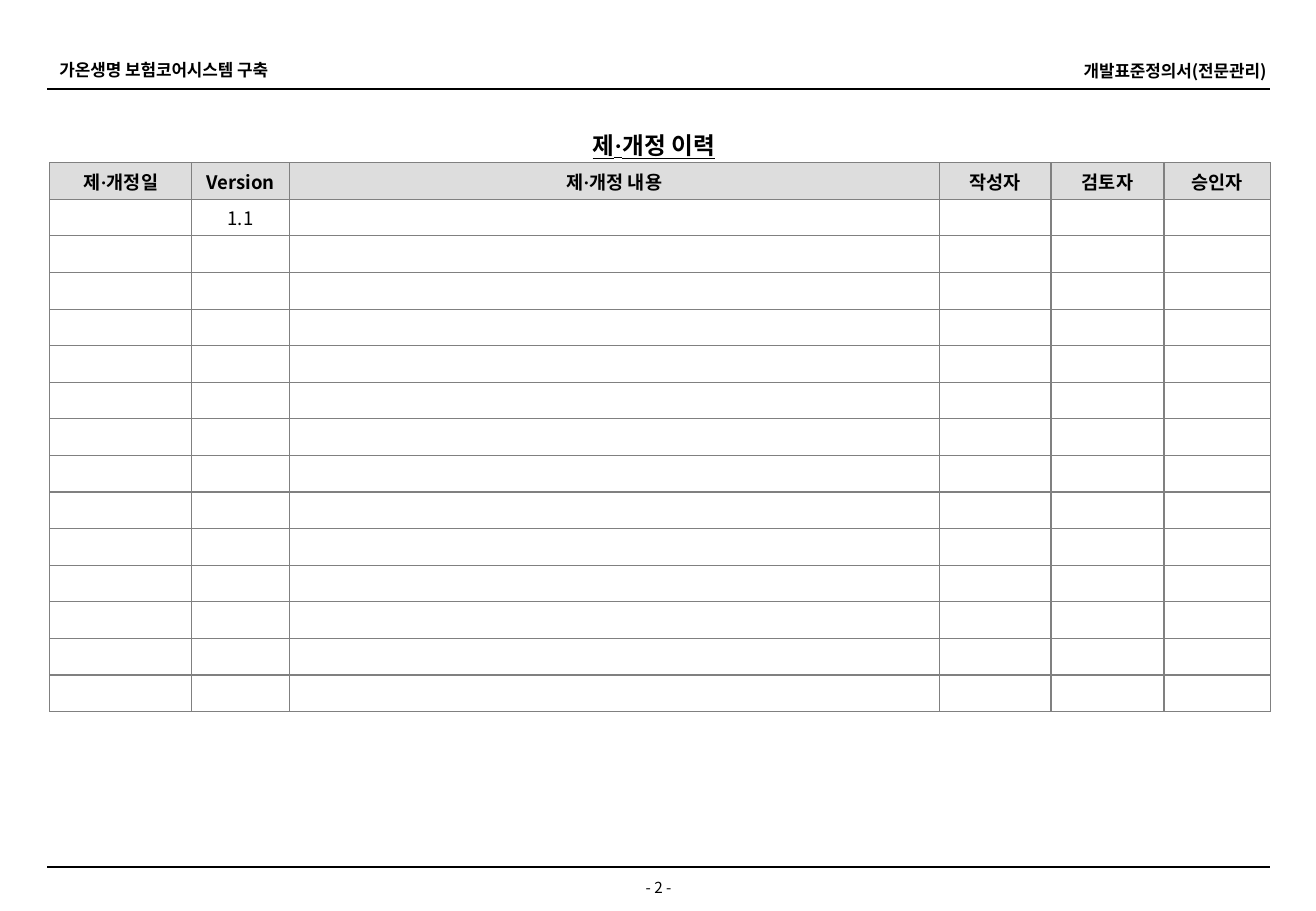
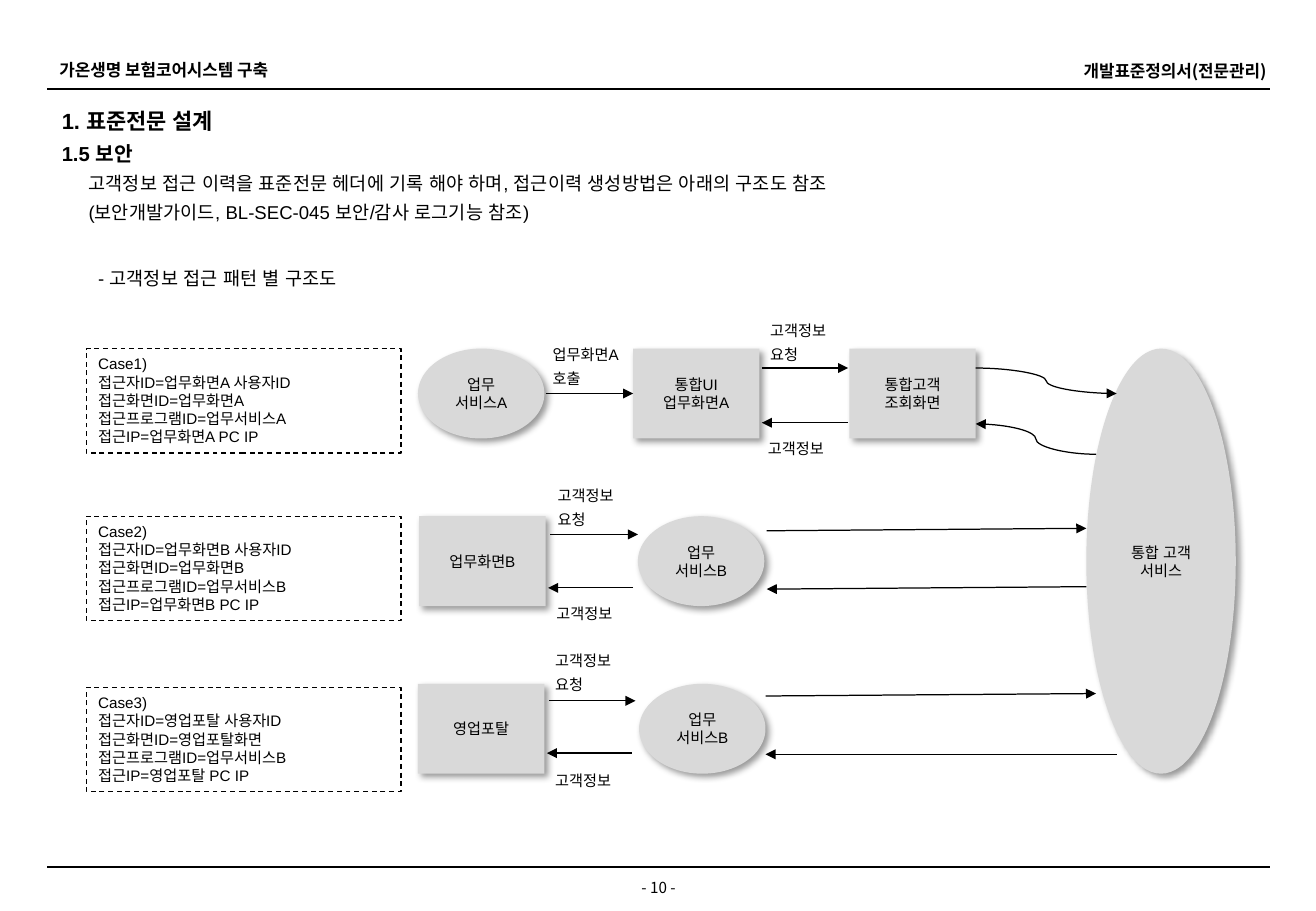
"""Builds the revision history and the security structure slides of a development standard."""
from dataclasses import dataclass

from lxml import etree
from pptx import Presentation
from pptx import util as u
from pptx.dml.color import RGBColor
from pptx.enum import dml, shapes, text
from pptx.oxml.ns import qn


@dataclass(frozen=True)
class Theme:
    ink: str = "000000"
    node: str = "D9D9D9"
    head: str = "DDDDDD"
    grid: str = "808080"
    korean: str = "Noto Sans CJK KR"
    latin: str = "Arial"
    dot: str = "Times New Roman"
    title: int = 14
    heading: int = 13
    subheading: int = 12
    body: int = 11
    band: int = 10
    small: int = 9
    hair: float = 0.75
    leading: float = 1.3


THEME = Theme()
RECT, OVAL = shapes.MSO_SHAPE.RECTANGLE, shapes.MSO_SHAPE.OVAL
STRAIGHT, CURVE = shapes.MSO_CONNECTOR.STRAIGHT, shapes.MSO_CONNECTOR.CURVE
LEFT, CENTER, RIGHT = text.PP_ALIGN.LEFT, text.PP_ALIGN.CENTER, text.PP_ALIGN.RIGHT

PROJECT = "가온생명 보험코어시스템 구축"
DOCUMENT = "개발표준정의서(전문관리)"

HISTORY_TITLE = "제·개정 이력"
HISTORY_COLUMNS = [
    ("제·개정일", 1.17), ("Version", 0.8), ("제·개정 내용", 5.35),
    ("작성자", 0.92), ("검토자", 0.93), ("승인자", 0.88),
]
HISTORY_ROWS = [["", "1.1", "", "", "", ""]] + [[""] * 6] * 13

HEADINGS = [("1. 표준전문 설계", THEME.heading), ("1.5 보안", THEME.subheading)]
GUIDANCE = [
    "고객정보 접근 이력을 표준전문 헤더에 기록 해야 하며, 접근이력 생성방법은 아래의 구조도 참조",
    "(보안개발가이드, BL-SEC-045 보안/감사 로그기능 참조)",
]
DIAGRAM_TITLE = "- 고객정보 접근 패턴 별 구조도"

CASES = [
    (2.87, "업무화면A", "업무화면A", "업무서비스A"),
    (4.25, "업무화면B", "업무화면B", "업무서비스B"),
    (5.66, "영업포탈", "영업포탈화면", "업무서비스B"),
]
LANE_TOP, LANE_STEP, NODE_SIZE = 2.87, 1.38, (1.04, 0.74)
NODES = [
    (0, 3.44, OVAL, ["업무", "서비스A"]),
    (0, 5.21, RECT, ["통합UI", "업무화면A"]),
    (0, 6.99, RECT, ["통합고객", "조회화면"]),
    (1, 3.45, RECT, ["업무화면B"]),
    (1, 5.25, OVAL, ["업무", "서비스B"]),
    (2, 3.44, RECT, ["영업포탈"]),
    (2, 5.26, OVAL, ["업무", "서비스B"]),
]
HUB = (8.94, LANE_TOP, 1.23, 3.5)
HUB_NAME = "통합 고객 서비스"
REQUEST, REPLY = ["고객정보", "요청"], ["고객정보"]
LABELS = [
    (4.45, 2.75, ["업무화면A", "호출"]),
    (6.24, 2.55, REQUEST), (6.22, 3.52, REPLY),
    (4.49, 3.91, REQUEST), (4.48, 4.88, REPLY),
    (4.47, 5.27, REQUEST), (4.47, 6.26, REPLY),
]
ARROWS = [
    (CURVE, 8.03, 3.03, 9.19, 3.24), (CURVE, 9.02, 3.74, 8.03, 3.49),
    (STRAIGHT, 4.49, 3.24, 5.21, 3.24),
    (STRAIGHT, 6.27, 3.03, 6.98, 3.03), (STRAIGHT, 6.98, 3.48, 6.27, 3.48),
    (STRAIGHT, 4.53, 4.4, 5.25, 4.4), (STRAIGHT, 5.21, 4.84, 4.51, 4.84),
    (STRAIGHT, 6.31, 4.37, 8.94, 4.35), (STRAIGHT, 8.94, 4.83, 6.31, 4.85),
    (STRAIGHT, 4.52, 5.77, 5.23, 5.77), (STRAIGHT, 5.2, 6.2, 4.5, 6.2),
    (STRAIGHT, 6.3, 5.73, 9.02, 5.71), (STRAIGHT, 9.19, 6.21, 6.3, 6.21),
]


def inches(*lengths):
    return [u.Inches(length) for length in lengths]


def color(value):
    return RGBColor.from_string(value)


def element(parent, tag, **attributes):
    return etree.SubElement(parent, qn(tag), **attributes)


def write(frame, lines, size=THEME.small, font=THEME.latin, bold=False, underline=False,
          align=LEFT, leading=None, before=0, indent=0, more=False):
    for number, line in enumerate(lines):
        para = frame.add_paragraph() if more or number else frame.paragraphs[0]
        para.alignment = align
        para.space_before = u.Pt(before)
        if leading:
            para.line_spacing = leading
        if indent:
            para._p.get_or_add_pPr().set("marL", str(u.Inches(indent)))
        for piece in filter(None, line.partition("·")):
            span = para.add_run()
            span.text = piece
            face = THEME.dot if piece == "·" else font
            span.font.name, span.font.size = face, u.Pt(size)
            span.font.bold, span.font.underline = bold, underline
            span.font.color.rgb = color(THEME.ink)
            element(span._r.get_or_add_rPr(), "a:ea", typeface=face)
        if not line:
            element(para._p, "a:endParaRPr", sz=str(size * 100))


def add_text(page, at, lines, grow=True, **style):
    box = page.shapes.add_textbox(*inches(*at))
    box.text_frame.word_wrap = True
    if grow:
        box.text_frame.auto_size = text.MSO_AUTO_SIZE.SHAPE_TO_FIT_TEXT
    write(box.text_frame, lines, **style)
    return box


def add_line(page, kind, *ends, width=THEME.hair, arrow=False):
    line = page.shapes.add_connector(kind, *inches(*ends))
    line.line.color.rgb = color(THEME.ink)
    line.line.width = u.Pt(width)
    if arrow:
        element(line.line._get_or_add_ln(), "a:tailEnd", type="triangle")
    element(line._element.spPr, "a:effectLst")


def add_node(page, kind, at, lines):
    node = page.shapes.add_shape(kind, *inches(*at))
    node.fill.solid()
    node.fill.fore_color.rgb = color(THEME.node)
    node.line.fill.background()
    effects = element(node._element.spPr, "a:effectLst")
    shadow = element(effects, "a:outerShdw", blurRad=str(u.Pt(4)), dist=str(u.Pt(3)),
                     dir="2700000", algn="tl", rotWithShape="0")
    element(element(shadow, "a:srgbClr", val=THEME.ink), "a:alpha", val="40000")
    frame = node.text_frame
    frame.word_wrap = True
    frame.vertical_anchor = text.MSO_ANCHOR.MIDDLE
    if kind == RECT:
        frame.margin_left = frame.margin_right = 0
    write(frame, lines, align=CENTER)


def add_case(page, number, top, user, screen, program):
    note = page.shapes.add_shape(RECT, *inches(0.71, top, 2.59, 0.86))
    note.shadow.inherit = False
    note.fill.background()
    note.line.color.rgb = color(THEME.ink)
    note.line.width = u.Pt(THEME.hair)
    note.line.dash_style = dml.MSO_LINE.DASH
    note.text_frame.word_wrap = True
    note.text_frame.vertical_anchor = text.MSO_ANCHOR.TOP
    write(note.text_frame, [
        f"Case{number})", f"접근자ID={user} 사용자ID", f"접근화면ID={screen}",
        f"접근프로그램ID={program}", f"접근IP={user} PC IP",
    ])


def add_page(deck, number):
    page = deck.slides.add_slide(deck.slide_layouts[6])
    for top, width in ((0.73, 1.25), (7.14, 1)):
        add_line(page, STRAIGHT, 0.39, top, 10.45, top, width=width)
    band = dict(size=THEME.band, font=THEME.korean, bold=True)
    add_text(page, (0.39, 0.44, 2.48, 0.27), [PROJECT], **band)
    add_text(page, (8.04, 0.45, 2.48, 0.27), [DOCUMENT], align=RIGHT, **band)
    add_text(page, (4.18, 7.18, 2.48, 0.25), [f"- {number} -"], font=THEME.korean, align=CENTER)
    return page


def fill_cell(cell, value, header):
    properties = cell._tc.get_or_add_tcPr()
    for side in ("a:lnL", "a:lnR", "a:lnT", "a:lnB"):
        border = element(properties, side, w=str(u.Pt(THEME.hair)))
        element(element(border, "a:solidFill"), "a:srgbClr", val=THEME.grid)
    if header:
        cell.fill.solid()
        cell.fill.fore_color.rgb = color(THEME.head)
    else:
        cell.fill.background()
    cell.margin_top = cell.margin_bottom = u.Inches(0.02)
    cell.margin_left = cell.margin_right = u.Inches(0.05)
    cell.vertical_anchor = text.MSO_ANCHOR.MIDDLE
    write(cell.text_frame, [value], size=THEME.body, font=THEME.korean, bold=header,
          align=CENTER, before=2)


def build_history(deck):
    page = add_page(deck, 2)
    add_text(page, (1.99, 1.03, 6.78, 0.33), [HISTORY_TITLE], size=THEME.title,
             font=THEME.korean, bold=True, underline=True, align=CENTER)
    names, widths = zip(*HISTORY_COLUMNS)
    rows = [names] + HISTORY_ROWS
    table = page.shapes.add_table(len(rows), len(names), *inches(0.41, 1.34, sum(widths), 4.52)).table
    table.first_row = table.horz_banding = False
    for column, width in zip(table.columns, widths):
        column.width = u.Inches(width)
    for row_number, values in enumerate(rows):
        for column_number, value in enumerate(values):
            fill_cell(table.cell(row_number, column_number), value, header=row_number == 0)


def build_security(deck):
    page = add_page(deck, 10)
    (first, first_size), (second, second_size) = HEADINGS
    spaced = dict(leading=THEME.leading)
    box = add_text(page, (0.41, 0.77, 9.98, 1.1), [first], grow=False, size=first_size,
                   bold=True, **spaced)
    write(box.text_frame, [second], size=second_size, bold=True, more=True, **spaced)
    write(box.text_frame, GUIDANCE, size=THEME.body, indent=0.22, more=True, **spaced)
    add_text(page, (0.71, 2.09, 5.85, 0.34), [DIAGRAM_TITLE], size=THEME.body, **spaced)
    for number, case in enumerate(CASES, 1):
        add_case(page, number, *case)
    for lane, left, kind, lines in NODES:
        add_node(page, kind, (left, LANE_TOP + lane * LANE_STEP, *NODE_SIZE), lines)
    add_node(page, OVAL, HUB, [HUB_NAME])
    for arrow in ARROWS:
        add_line(page, *arrow, arrow=True)
    for left, top, lines in LABELS:
        add_text(page, (left, top, 0.79, 0.11 + 0.19 * len(lines)), lines, **spaced)


def main():
    deck = Presentation()
    deck.slide_width, deck.slide_height = inches(10.83, 7.5)
    build_history(deck)
    build_security(deck)
    deck.save("out.pptx")


if __name__ == "__main__":
    main()
